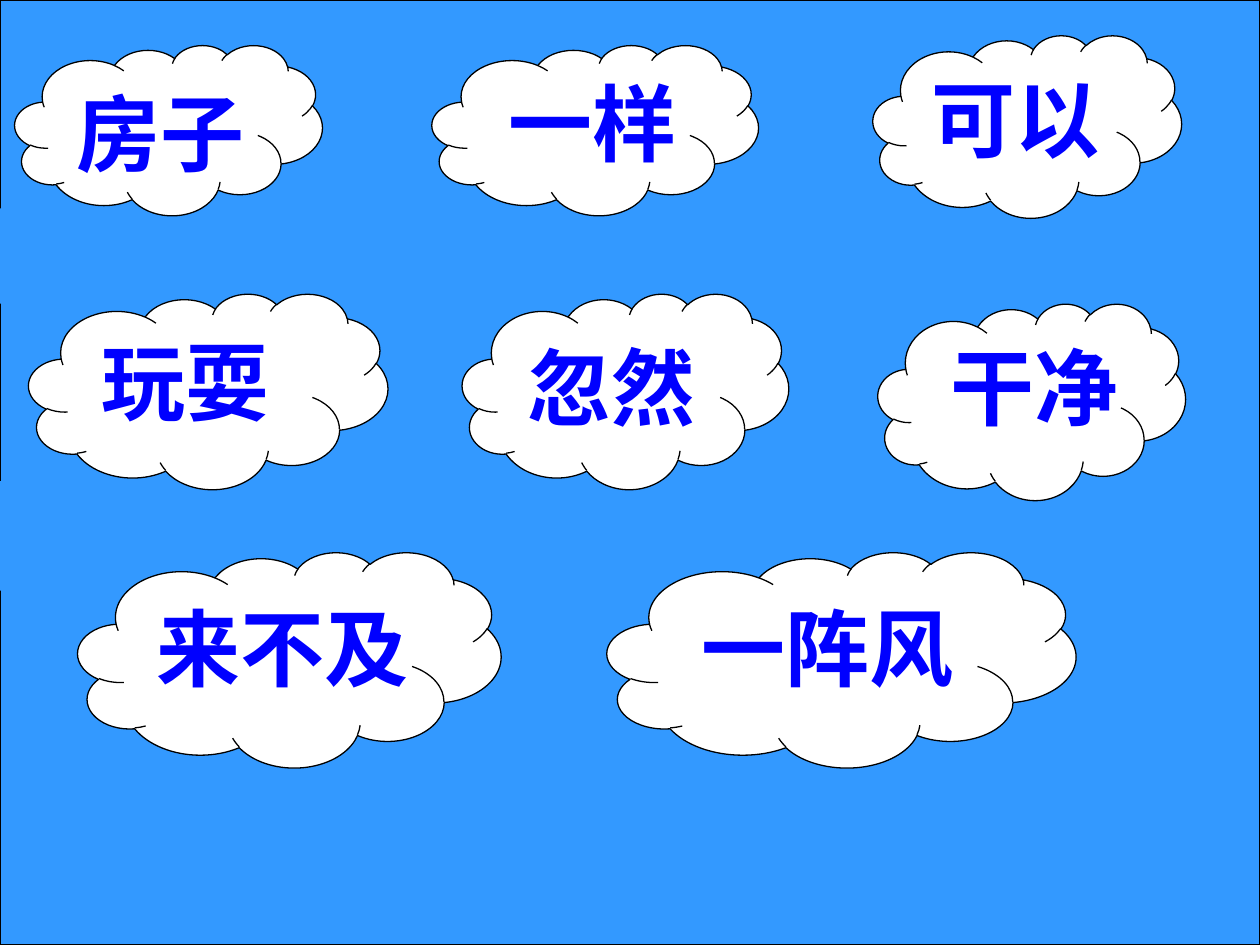
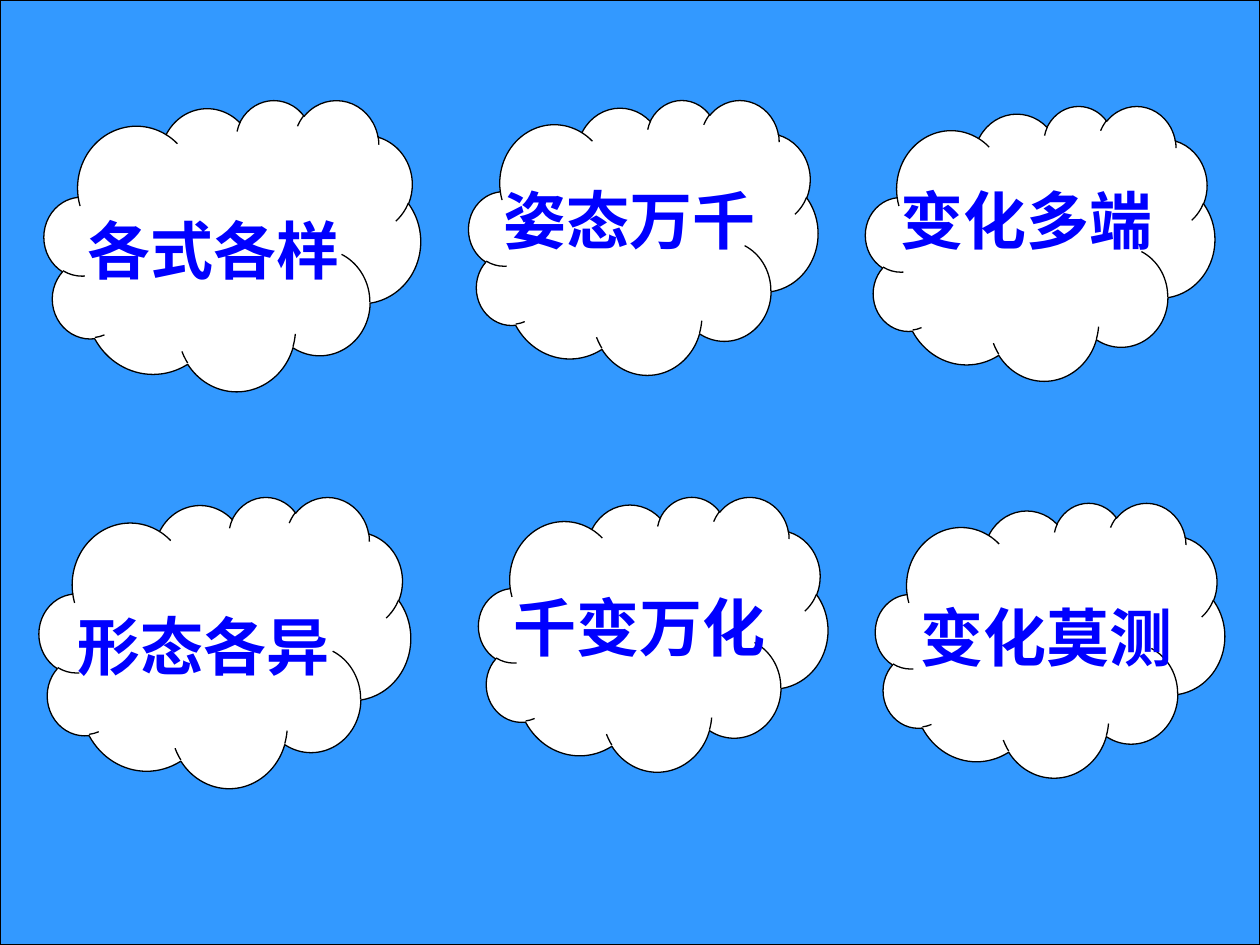
"""Build two word slides of white clouds on a blue sky."""
from dataclasses import dataclass

from pptx import Presentation
from pptx import util as u
from pptx.dml.color import RGBColor
from pptx.enum import shapes, text


@dataclass(frozen=True)
class Theme:
    sky: RGBColor = RGBColor(0x33, 0x99, 0xFF)
    cloud: RGBColor = RGBColor(0xFF, 0xFF, 0xFF)
    edge: RGBColor = RGBColor(0, 0, 0)
    ink: RGBColor = RGBColor(0, 0, 0xFF)
    font: str = "Times New Roman"
    large: int = 48
    small: int = 36
    line: float = 0.75


@dataclass(frozen=True)
class Cloud:
    word: str
    left: float
    top: float
    width: float
    height: float
    word_left: float
    word_top: float
    word_width: float = 0


THEME = Theme()
WIDE, HIGH = 25.4, 19.05
TAIL = (-0.406, 0.811)

SHORT = [
    Cloud("房子", 0.3, 0.91, 6.2, 3.43, 1.3, 1.52, 5.79),
    Cloud("一样", 8.71, 0.91, 6.58, 3.43, 10.01, 1.32),
    Cloud("可以", 17.6, 0.71, 6.22, 3.68, 18.52, 1.24),
    Cloud("玩耍", 0.58, 5.92, 7.24, 3.94, 1.8, 6.53),
    Cloud("忽然", 9.32, 5.92, 6.58, 3.94, 10.39, 6.63),
    Cloud("干净", 17.7, 6.12, 6.2, 3.96, 18.92, 6.63),
    Cloud("来不及", 1.57, 11.13, 8.53, 4.34, 2.9, 11.91),
    Cloud("一阵风", 12.24, 11.13, 9.45, 4.34, 13.89, 11.91),
]
LONG = [
    Cloud("各式各样", 0.89, 2.01, 7.59, 5.87, 1.52, 4.14),
    Cloud("姿态万千", 9.45, 2.01, 7.04, 5.54, 9.91, 3.53),
    Cloud("形态各异", 0.79, 10.01, 7.49, 5.87, 1.32, 12.12),
    Cloud("千变万化", 9.65, 10.01, 7.04, 5.54, 10.11, 11.73),
    Cloud("变化多端", 17.45, 2.13, 7.04, 5.54, 17.91, 3.53),
    Cloud("变化莫测", 17.65, 10.13, 7.04, 5.54, 18.31, 11.94),
]


def add_form(host, kind, left: float, top: float, width: float, height: float,
             fill: RGBColor, edged: bool = True):
    form = host.add_shape(kind, u.Cm(left), u.Cm(top), u.Cm(width), u.Cm(height))
    form.shadow.inherit = False
    form.fill.solid()
    form.fill.fore_color.rgb = fill
    if edged:
        form.line.color.rgb = THEME.edge
        form.line.width = u.Pt(THEME.line)
    else:
        form.line.fill.background()
    return form


def add_text(slide, words: str, *, left: float, top: float, size: int,
             width: float = 0, bold: bool = True) -> None:
    fit = len(words) * u.Pt(size).cm + 0.51
    height = 1.3 * u.Pt(size).cm + 0.12
    box = slide.shapes.add_textbox(u.Cm(left), u.Cm(top),
                                   u.Cm(width or fit), u.Cm(height))
    frame = box.text_frame
    frame.word_wrap = bool(width)
    frame.auto_size = text.MSO_AUTO_SIZE.SHAPE_TO_FIT_TEXT
    run = frame.paragraphs[0].add_run()
    run.text = words
    run.font.name = THEME.font
    run.font.size = u.Pt(size)
    run.font.bold = bold
    run.font.color.rgb = THEME.ink


def add_cloud(slide, item: Cloud, size: int) -> None:
    group = slide.shapes.add_group_shape().shapes
    puff = add_form(group, shapes.MSO_SHAPE.CLOUD_CALLOUT, item.left, item.top,
                    item.width, item.height, THEME.cloud)
    puff.adjustments[0], puff.adjustments[1] = TAIL
    add_form(group, shapes.MSO_SHAPE.RECTANGLE,
             item.left - 0.08 * item.width, item.top + 0.96 * item.height,
             0.44 * item.width, 0.56 * item.height, THEME.sky, edged=False)
    add_text(slide, item.word, left=item.word_left, top=item.word_top,
             size=size, width=item.word_width)


def add_page(deck, clouds: list[Cloud], size: int) -> None:
    slide = deck.slides.add_slide(deck.slide_layouts[6])
    add_form(slide.shapes, shapes.MSO_SHAPE.RECTANGLE, 0, 0, WIDE, HIGH, THEME.sky)
    for item in clouds:
        add_cloud(slide, item, size)


def main() -> None:
    deck = Presentation()
    deck.slide_width, deck.slide_height = u.Cm(WIDE), u.Cm(HIGH)
    add_page(deck, SHORT, THEME.large)
    add_page(deck, LONG, THEME.small)
    deck.save("out.pptx")


if __name__ == "__main__":
    main()
